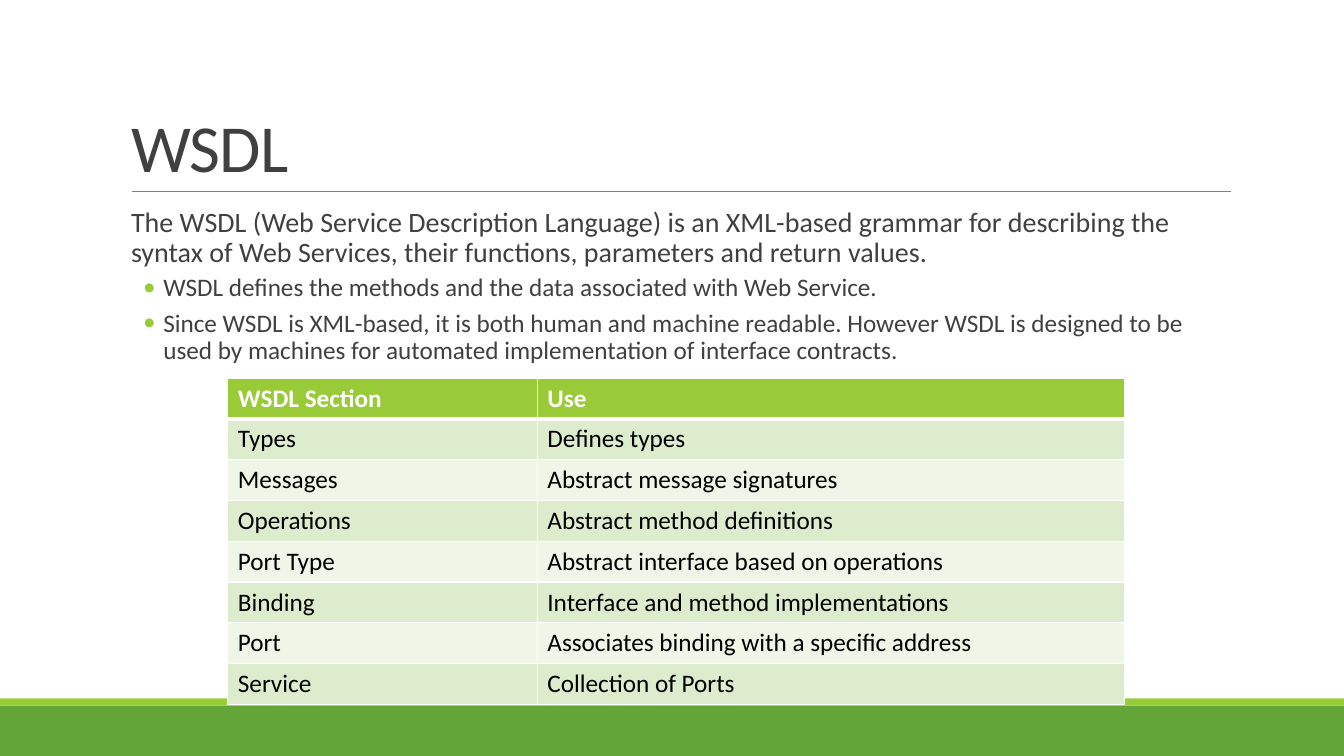
from lxml.etree import SubElement
from pptx import Presentation
from pptx.dml.color import RGBColor
from pptx.enum.shapes import MSO_CONNECTOR, MSO_SHAPE
from pptx.enum.text import MSO_ANCHOR, MSO_AUTO_SIZE, PP_ALIGN
from pptx.oxml.ns import qn
from pptx.util import Inches, Pt

GREEN, LIME, GREY = "63A537", "99CB38", "404040"
BANDS = ["EFF6E8", "DEECCE"]


def color(value):
    return RGBColor.from_string(value)


def write(para, text, size, ink, bold=False):
    span = para.add_run()
    span.text = text
    formats = {"name": "Calibri", "size": Pt(size), "bold": bold}
    for name, value in formats.items():
        setattr(span.font, name, value)
    span.font.color.rgb = color(ink)
    return span


deck = Presentation()
deck.slide_width, deck.slide_height = Inches(13.33), Inches(7.5)
page = deck.slides.add_slide(deck.slide_layouts[5])
left, width = Inches(1.2), Inches(11)

# Footer bands
for top, height, fill in [(7, 0.5, GREEN), (6.93, 0.07, LIME)]:
    band = page.shapes.add_shape(
        MSO_SHAPE.RECTANGLE, 0, Inches(top), deck.slide_width, Inches(height))
    band.shadow.inherit = False
    band.fill.solid()
    band.fill.fore_color.rgb = color(fill)
    band.line.fill.background()

# Rule under the title
rule = page.shapes.add_connector(
    MSO_CONNECTOR.STRAIGHT, Inches(1.31), Inches(1.9), Inches(12.21), Inches(1.9))
rule.line.color.rgb = color("808080")
rule.line.width = Pt(0.5)
SubElement(rule.element.spPr, qn("a:effectLst"))

# Title
title = page.shapes.title
title.left, title.top, title.width, title.height = left, Inches(0.31), width, Inches(1.59)
frame = title.text_frame
frame.vertical_anchor = MSO_ANCHOR.BOTTOM
frame.auto_size = MSO_AUTO_SIZE.NONE
para = frame.paragraphs[0]
para.alignment = PP_ALIGN.LEFT
para.line_spacing = 0.85
span = write(para, "WSDL", 48, GREY)
span.font._element.set("spc", "-50")

# Introduction with bullets
box = page.shapes.add_textbox(left, Inches(2.02), width, Inches(4.4))
frame = box.text_frame
frame.word_wrap = True
frame.margin_left = frame.margin_right = 0
points = [
    (0, "The WSDL (Web Service Description Language) is an XML-based grammar for "
        "describing the syntax of Web Services, their functions, parameters and return values."),
    (1, "WSDL defines the methods and the data associated with Web Service."),
    (1, "Since WSDL is XML-based, it is both human and machine readable. However WSDL is "
        "designed to be used by machines for automated implementation of interface contracts."),
]
for index, (level, text) in enumerate(points):
    para = frame.add_paragraph() if index else frame.paragraphs[0]
    formats = {"level": level, "line_spacing": 0.9,
               "space_before": Pt(2 if level else 12), "space_after": Pt(4 if level else 2)}
    for name, value in formats.items():
        setattr(para, name, value)
    write(para, text, 18 if level else 20, GREY)
    props = para._p.get_or_add_pPr()
    props.set("marL", str(Inches(0.42 if level else 0.1)))
    props.set("indent", str(Inches(-0.2 if level else 0)))
    if level:
        tint = SubElement(props, qn("a:buClr"))
        SubElement(tint, qn("a:srgbClr"), val=LIME)
        SubElement(props, qn("a:buFont"), typeface="Calibri")
        SubElement(props, qn("a:buChar"), char="•")

# Table of WSDL sections
rows = [
    ("WSDL Section", "Use"),
    ("Types", "Defines types"),
    ("Messages", "Abstract message signatures"),
    ("Operations", "Abstract method definitions"),
    ("Port Type", "Abstract interface based on operations"),
    ("Binding", "Interface and method implementations"),
    ("Port", "Associates binding with a specific address"),
    ("Service", "Collection of Ports"),
]
table = page.shapes.add_table(
    len(rows), 2, Inches(2.26), Inches(3.75), Inches(8.89), Inches(3.24)).table
for column, size in zip(table.columns, (3.07, 5.82)):
    column.width = Inches(size)
for r, texts in enumerate(rows):
    for c, text in enumerate(texts):
        cell = table.cell(r, c)
        header = r == 0
        write(cell.text_frame.paragraphs[0], text, 18,
              "FFFFFF" if header else "000000", header)
        props = cell._tc.get_or_add_tcPr()
        for side in "LRTB":
            thick = (r, side) in [(0, "B"), (1, "T")]
            edge = SubElement(props, qn(f"a:ln{side}"), w=str(Pt(3 if thick else 1)))
            paint = SubElement(edge, qn("a:solidFill"))
            SubElement(paint, qn("a:srgbClr"), val="FFFFFF")
        cell.fill.solid()
        cell.fill.fore_color.rgb = color(LIME if header else BANDS[r % 2])

deck.save("out.pptx")
